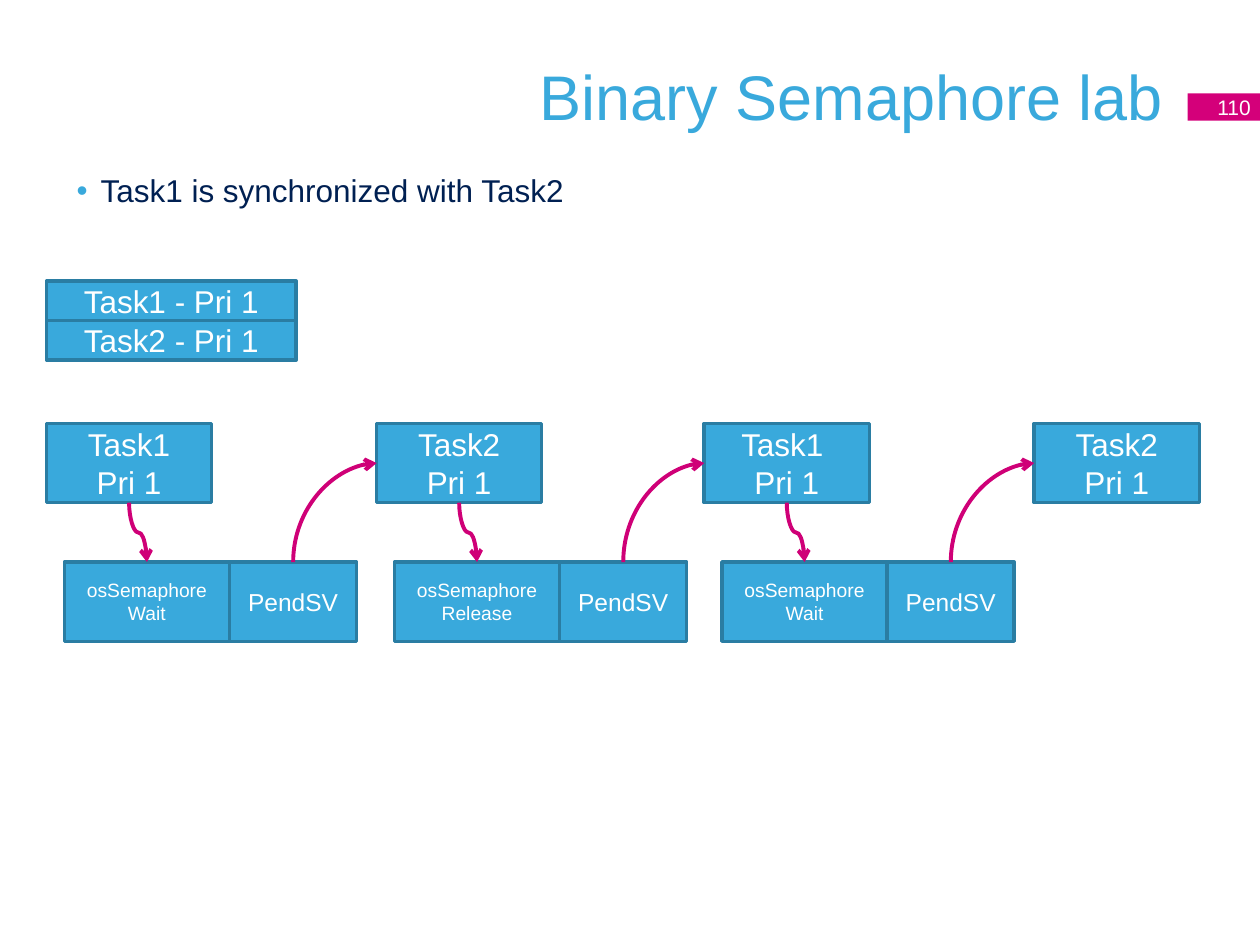
import dataclasses

import lxml.etree
import pptx
import pptx.dml.color
import pptx.enum.shapes
import pptx.enum.text
import pptx.oxml
import pptx.oxml.ns
import pptx.util

Pt = pptx.util.Pt
Align = pptx.enum.text.PP_ALIGN
Anchor = pptx.enum.text.MSO_ANCHOR
qn = pptx.oxml.ns.qn

BLUE, EDGE, WHITE, NAVY = "39A9DC", "2A7DA3", "FFFFFF", "002052"
MAGENTA, ARROW = "D4007A", "CF0077"
TASK_TOP, CALL_TOP, BOX_HEIGHT = 242, 321.2, 45.3
TASK_WIDTH, PEND_WIDTH, CALL_OFFSET = 94.4, 72.6, 10.2


@dataclasses.dataclass
class Box:
    left: float
    top: float
    width: float
    height: float


@dataclasses.dataclass
class Step:
    left: float
    task: str
    call: str = ""


LEGEND = ["Task1 - Pri 1", "Task2 - Pri 1"]
STEPS = [
    Step(26.6, "Task1", "Wait"),
    Step(215.2, "Task2", "Release"),
    Step(402.4, "Task1 ", "Wait"),
    Step(591, "Task2"),
]


def color(value: str):
    return pptx.dml.color.RGBColor.from_string(value)


def write(shape, lines: list[str], size: float, value: str, align):
    frame = shape.text_frame
    frame.word_wrap = True
    paragraph = frame.paragraphs[0]
    paragraph.alignment = align
    for index, line in enumerate(lines):
        if index:
            paragraph.add_line_break()
        run = paragraph.add_run()
        run.text = line
        run.font.size = Pt(size)
        run.font.name = "Arial"
        run.font.color.rgb = color(value)
    return paragraph


def add_text(slide, box: Box, text: str, size: float, value: str, align, anchor):
    shape = slide.shapes.add_textbox(Pt(box.left), Pt(box.top), Pt(box.width), Pt(box.height))
    shape.text_frame.vertical_anchor = anchor
    return write(shape, [text], size, value, align)


def add_box(slide, box: Box, lines: list[str], size: float,
            fill: str = BLUE, edge: str = EDGE, align=Align.CENTER):
    shape = slide.shapes.add_shape(
        pptx.enum.shapes.MSO_SHAPE.RECTANGLE,
        Pt(box.left), Pt(box.top), Pt(box.width), Pt(box.height))
    shape.shadow.inherit = False
    shape.fill.solid()
    shape.fill.fore_color.rgb = color(fill)
    if edge:
        shape.line.color.rgb = color(edge)
        shape.line.width = Pt(2)
    else:
        shape.line.fill.background()
    shape.text_frame.vertical_anchor = Anchor.MIDDLE
    write(shape, lines, size, WHITE, align)
    return shape


def add_curve(slide, start, start_site: int, end, end_site: int, preset: str, turn: dict[str, str]):
    """Join two boxes with a curve whose frame is turned a quarter about its centre."""
    connector = slide.shapes.add_connector(pptx.enum.shapes.MSO_CONNECTOR.CURVE, 0, 0, 0, 0)
    connector.begin_connect(start, start_site)
    connector.end_connect(end, end_site)
    left, top, width, height = connector.left, connector.top, connector.width, connector.height
    connector.left = left + (width - height) // 2
    connector.top = top + (height - width) // 2
    connector.width, connector.height = height, width
    properties = connector._element.spPr
    frame = properties.find(qn("a:xfrm"))
    for name in ("rot", "flipH", "flipV"):
        frame.attrib.pop(name, None)
    for name, value in turn.items():
        frame.set(name, value)
    properties.find(qn("a:prstGeom")).set("prst", preset)
    connector.line.color.rgb = color(ARROW)
    connector.line.width = Pt(2.25)
    line = properties.find(qn("a:ln"))
    lxml.etree.SubElement(line, qn("a:tailEnd")).set("type", "arrow")
    lxml.etree.SubElement(properties, qn("a:effectLst"))


def add_bullet(paragraph, value: str):
    paragraph.space_before, paragraph.space_after = Pt(18), Pt(6)
    properties = paragraph._p.get_or_add_pPr()
    properties.set("marL", str(Pt(13.7)))
    properties.set("indent", str(-Pt(13.7)))
    bullet_color = lxml.etree.SubElement(properties, qn("a:buClr"))
    lxml.etree.SubElement(bullet_color, qn("a:srgbClr")).set("val", value)
    lxml.etree.SubElement(properties, qn("a:buFont")).set("typeface", "Arial")
    lxml.etree.SubElement(properties, qn("a:buChar")).set("char", "•")


def add_text_shadow(run):
    effects = pptx.oxml.parse_xml(
        f'<a:effectLst {pptx.oxml.ns.nsdecls("a")}>'
        '<a:outerShdw blurRad="38100" dist="38100" dir="2700000" algn="tl">'
        '<a:srgbClr val="000000"><a:alpha val="43000"/></a:srgbClr>'
        '</a:outerShdw></a:effectLst>')
    run.font._element.find(qn("a:solidFill")).addnext(effects)


def draw_steps(slide):
    tasks = [add_box(slide, Box(step.left, TASK_TOP, TASK_WIDTH, BOX_HEIGHT),
                     [step.task, "Pri 1"], 18) for step in STEPS]
    for step, task, following in zip(STEPS, tasks, tasks[1:]):
        left = step.left + CALL_OFFSET
        pend = add_box(slide, Box(left + TASK_WIDTH, CALL_TOP, PEND_WIDTH, BOX_HEIGHT),
                       ["PendSV"], 14)
        call = add_box(slide, Box(left, CALL_TOP, TASK_WIDTH, BOX_HEIGHT),
                       ["osSemaphore", step.call], 11)
        add_curve(slide, task, 2, call, 0, "curvedConnector3",
                  {"rot": "16200000", "flipH": "1"})
        add_curve(slide, pend, 0, following, 1, "curvedConnector2",
                  {"rot": "5400000", "flipH": "1", "flipV": "1"})


def main():
    presentation = pptx.Presentation()
    presentation.slide_width, presentation.slide_height = Pt(720), Pt(540)
    slide = presentation.slides.add_slide(presentation.slide_layouts[6])
    add_text(slide, Box(36, 9.4, 635.8, 90), "Binary Semaphore lab", 36, BLUE,
             Align.RIGHT, Anchor.MIDDLE)
    add_box(slide, Box(678.7, 53.4, 43.2, 15.6), ["110"], 12, MAGENTA, "", Align.RIGHT)
    body = add_text(slide, Box(36.7, 94.3, 648, 28.8), "Task1 is synchronized with Task2",
                    18, NAVY, Align.LEFT, Anchor.TOP)
    add_bullet(body, BLUE)
    add_text_shadow(body.runs[0])
    for index, label in enumerate(LEGEND):
        add_box(slide, Box(26.6, 160.6 + index * 22.6, 142.6, 22.6), [label], 18)
    draw_steps(slide)
    presentation.save("out.pptx")


if __name__ == "__main__":
    main()
